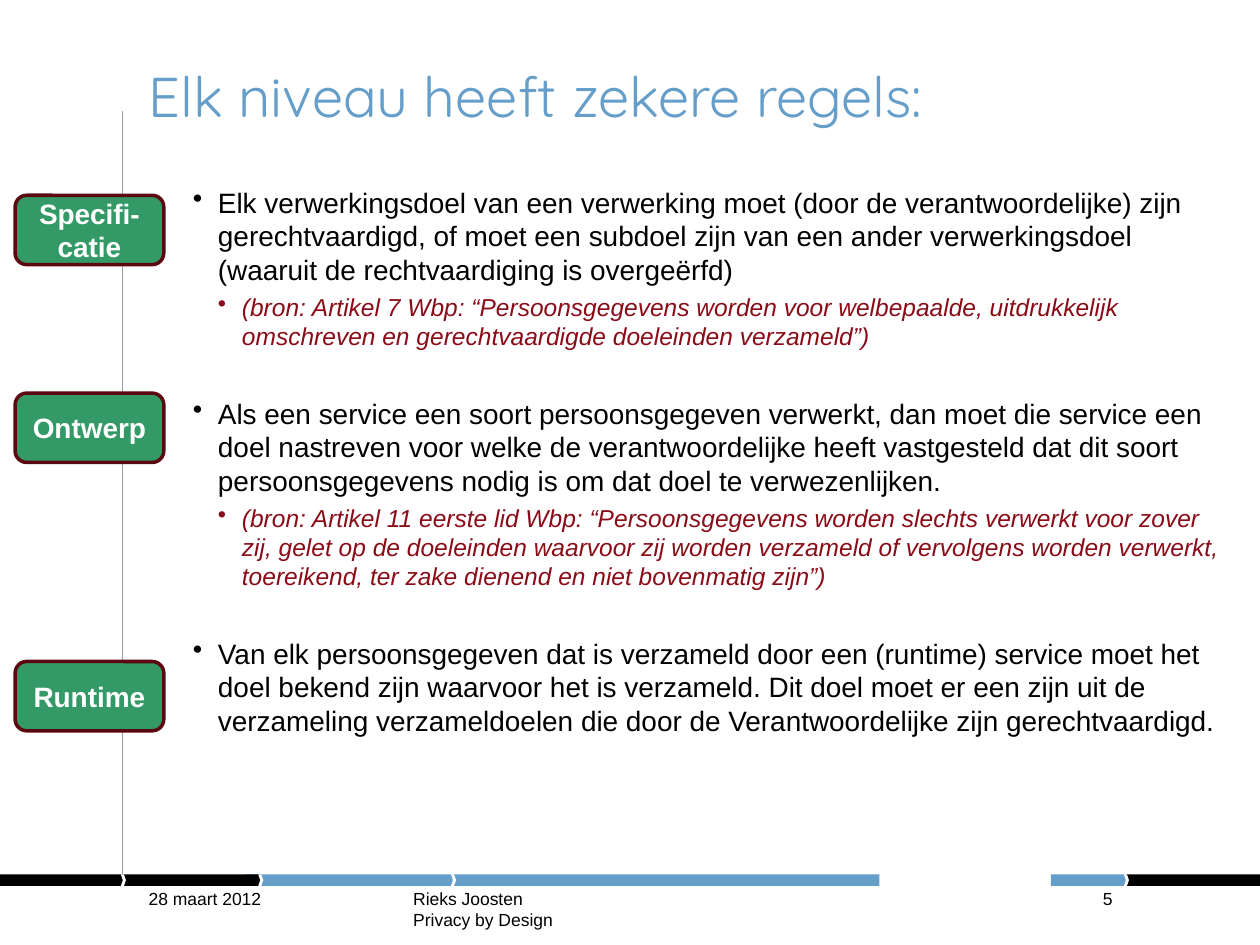
"""Build a slide that gives the privacy rules for each design level."""
from dataclasses import dataclass
from typing import Any

import pptx
import pptx.dml.color
import pptx.enum.shapes
import pptx.enum.text
import pptx.oxml.ns
import pptx.util
from lxml import etree

SHAPE = pptx.enum.shapes.MSO_SHAPE
ALIGN = pptx.enum.text.PP_ALIGN
ANCHOR = pptx.enum.text.MSO_ANCHOR
CELL = pptx.util.Inches(0.1)
COLS, ROWS = 100, 75


@dataclass(frozen=True)
class Theme:
    """Colours, fonts and type sizes."""
    blue: str = "649EC9"
    black: str = "000000"
    white: str = "FFFFFF"
    grey: str = "9C9C9E"
    red: str = "8A0C18"
    green: str = "339966"
    edge: str = "5C0810"
    head: str = "Quicksand"
    text: str = "Arial"
    title: float = 32
    rule: float = 16
    note: float = 14
    foot: float = 10


@dataclass(frozen=True)
class Box:
    """A place in grid columns and rows."""
    col: float
    row: float
    wide: float
    high: float

    def place(self) -> list[int]:
        """Return left, top, width and height."""
        return [round(n * CELL) for n in (self.col, self.row, self.wide, self.high)]


@dataclass(frozen=True)
class Level:
    """A level label, its row, its rule and the source of the rule."""
    name: str
    row: float
    rule: str
    note: str = ""


@dataclass(frozen=True)
class Foot:
    """A footer text with its columns."""
    text: str
    col: float
    wide: float
    align: Any = ALIGN.LEFT


THEME = Theme()
BAR, THICK = 69.4, 0.9
BARS = [(83.4, 6, THEME.blue), (89.4, 10.6, THEME.black),
        (19.5, 50.3, THEME.blue), (0, 20.7, THEME.black)]
NOTCHES = [9.6, 89.2, 35.8, 20.5]
LEVELS = [
    Level("Specifi-catie", 15.5,
          "Elk verwerkingsdoel van een verwerking moet (door de verantwoordelijke) zijn "
          "gerechtvaardigd, of moet een subdoel zijn van een ander verwerkingsdoel "
          "(waaruit de rechtvaardiging is overgeërfd)",
          "(bron: Artikel 7 Wbp: “Persoonsgegevens worden voor welbepaalde, uitdrukkelijk "
          "omschreven en gerechtvaardigde doeleinden verzameld”)"),
    Level("Ontwerp", 31.2,
          "Als een service een soort persoonsgegeven verwerkt, dan moet die service een "
          "doel nastreven voor welke de verantwoordelijke heeft vastgesteld dat dit soort "
          "persoonsgegevens nodig is om dat doel te verwezenlijken.",
          "(bron: Artikel 11 eerste lid Wbp: “Persoonsgegevens worden slechts verwerkt voor "
          "zover zij, gelet op de doeleinden waarvoor zij worden verzameld of vervolgens "
          "worden verwerkt, toereikend, ter zake dienend en niet bovenmatig zijn”)"),
    Level("Runtime", 52.5,
          "Van elk persoonsgegeven dat is verzameld door een (runtime) service moet het "
          "doel bekend zijn waarvoor het is verzameld. Dit doel moet er een zijn uit de "
          "verzameling verzameldoelen die door de Verantwoordelijke zijn gerechtvaardigd."),
]
FEET = [Foot("28 maart 2012", 11.8, 18.2),
        Foot("Rieks Joosten\vPrivacy by Design", 32.8, 35.3),
        Foot("5", 80.4, 7.9, ALIGN.RIGHT)]


def tint(code: str) -> Any:
    """Turn a hex code into a colour."""
    return pptx.dml.color.RGBColor.from_string(code)


def style(para: Any, size: float, code: str, face: str = THEME.text,
          bold: bool = False, slant: bool = False) -> None:
    """Set the font of a paragraph."""
    font = para.font
    font.name, font.size = face, pptx.util.Pt(size)
    font.bold, font.italic = bold, slant
    font.color.rgb = tint(code)


def trim(frame: Any) -> None:
    """Wrap a text frame, anchor it at the top and clear its margins."""
    frame.word_wrap = True
    frame.auto_size = pptx.enum.text.MSO_AUTO_SIZE.NONE
    frame.vertical_anchor = ANCHOR.TOP
    frame.margin_left = frame.margin_right = 0
    frame.margin_top = frame.margin_bottom = 0


def block(slide: Any, kind: Any, box: Box, fill: str) -> Any:
    """Draw a flat filled shape without an outline."""
    shape = slide.shapes.add_shape(kind, *box.place())
    shape.shadow.inherit = False
    shape.fill.solid()
    shape.fill.fore_color.rgb = tint(fill)
    shape.line.fill.background()
    return shape


def frame(slide: Any) -> None:
    """Draw the footer bars, their notches and the upright line."""
    for col, wide, code in BARS:
        block(slide, SHAPE.RECTANGLE, Box(col, BAR, wide, THICK), code)
    for col in NOTCHES:
        notch = block(slide, SHAPE.CHEVRON, Box(col, BAR, 0.4, THICK), THEME.white)
        notch.adjustments[0] = 0.39
    ends = Box(9.7, BAR, 9.7, 8.8).place()
    line = slide.shapes.add_connector(pptx.enum.shapes.MSO_CONNECTOR.STRAIGHT, *ends)
    line.line.color.rgb = tint(THEME.grey)
    line.line.width = pptx.util.Pt(0.1)
    etree.SubElement(line._element.spPr, pptx.oxml.ns.qn("a:effectLst"))


def head(slide: Any, text: str) -> None:
    """Fill and format the title."""
    title = slide.shapes.title
    title.left, title.top, title.width, title.height = Box(11.8, 4.9, 76.8, 7.9).place()
    trim(title.text_frame)
    para = title.text_frame.paragraphs[0]
    para.text, para.alignment = text, ALIGN.LEFT
    style(para, THEME.title, THEME.blue, THEME.head)


def bullet(para: Any, left: float, hang: float) -> None:
    """Give a paragraph a hanging bullet, with indents in columns."""
    props = para._p.get_or_add_pPr()
    props.set("marL", str(round(left * CELL)))
    props.set("indent", str(round(-hang * CELL)))
    etree.SubElement(props, pptx.oxml.ns.qn("a:buChar")).set("char", "•")


def rules(slide: Any) -> None:
    """Write each rule with its source below it."""
    body = slide.shapes.add_textbox(*Box(15.3, 14.7, 81.9, 48.8).place()).text_frame
    trim(body)
    for rank, level in enumerate(LEVELS):
        para = body.add_paragraph() if rank else body.paragraphs[0]
        para.text = level.rule
        para.space_before = pptx.util.Pt(26 if rank else 0)
        style(para, THEME.rule, THEME.black)
        bullet(para, 2, 2)
        if level.note:
            para = body.add_paragraph()
            para.text, para.level = level.note, 1
            para.space_before = pptx.util.Pt(3.3)
            style(para, THEME.note, THEME.red, slant=True)
            bullet(para, 3.9, 1.9)


def label(slide: Any, level: Level) -> None:
    """Draw the rounded label of a level."""
    shape = block(slide, SHAPE.ROUNDED_RECTANGLE, Box(1.2, level.row, 11.8, 5.5), THEME.green)
    shape.line.color.rgb = tint(THEME.edge)
    shape.line.width = pptx.util.Pt(2)
    shape.text_frame.word_wrap = True
    shape.text_frame.vertical_anchor = ANCHOR.MIDDLE
    para = shape.text_frame.paragraphs[0]
    para.text, para.alignment = level.name, ALIGN.CENTER
    style(para, THEME.rule, THEME.white, bold=True)


def foot(slide: Any, item: Foot) -> None:
    """Write one footer text."""
    text = slide.shapes.add_textbox(*Box(item.col, 70.5, item.wide, 2.6).place()).text_frame
    trim(text)
    para = text.paragraphs[0]
    para.text, para.alignment = item.text, item.align
    style(para, THEME.foot, THEME.black)


def main() -> None:
    """Build and save the slide."""
    deck = pptx.Presentation()
    deck.slide_width, deck.slide_height = COLS * CELL, ROWS * CELL
    slide = deck.slides.add_slide(deck.slide_layouts.get_by_name("Title Only"))
    frame(slide)
    head(slide, "Elk niveau heeft zekere regels:")
    rules(slide)
    for item in FEET:
        foot(slide, item)
    for level in LEVELS:
        label(slide, level)
    deck.save("out.pptx")


if __name__ == "__main__":
    main()
